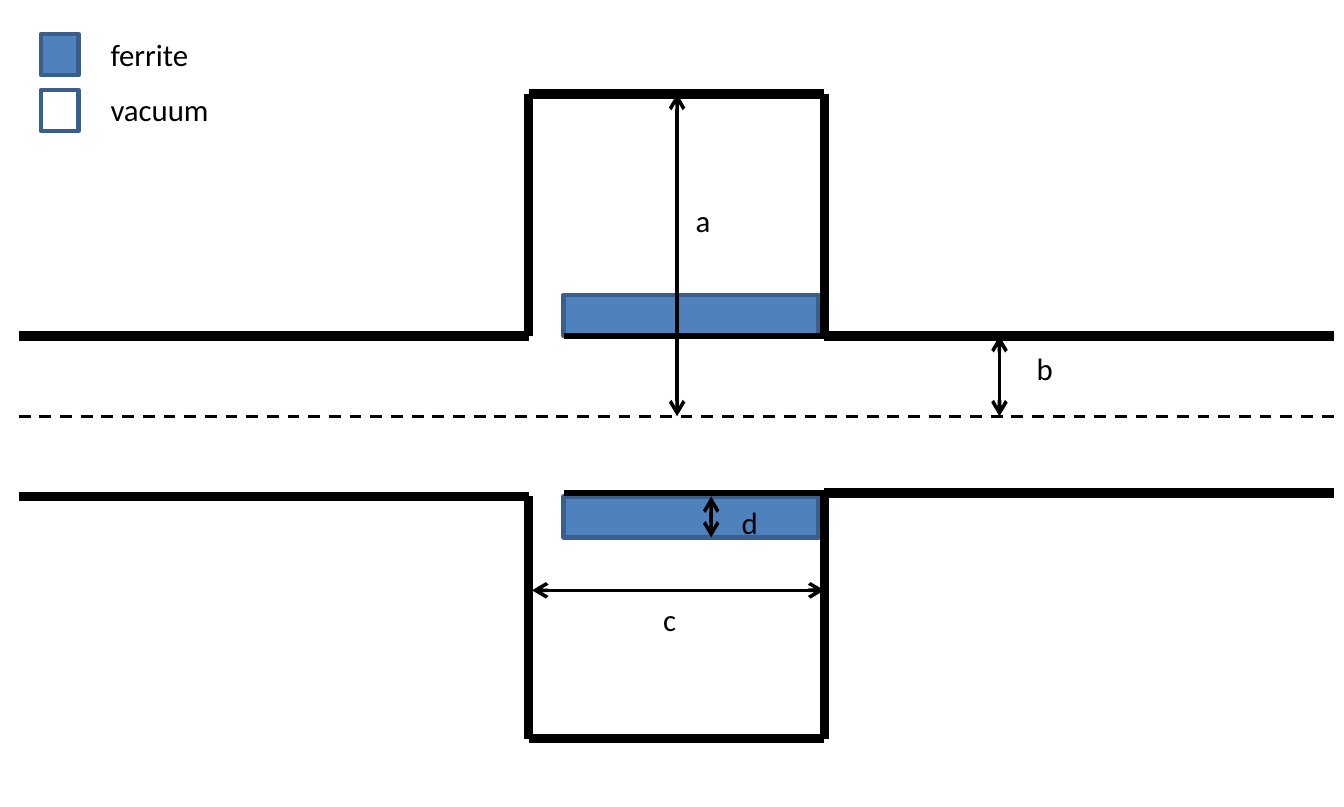
"""Draw the cross-section of a cavity with ferrite plates on a beam pipe."""
import pptx
import pptx.dml.color
import pptx.enum.dml
import pptx.enum.shapes
import pptx.enum.text
import pptx.oxml.ns
import pptx.util
from lxml import etree

BLACK, WHITE, FERRITE, OUTLINE = "000000", "FFFFFF", "4F81BD", "3A5F8C"
PIPE_LEFT, PIPE_RIGHT = 7.92, 563.04
CAVITY_LEFT, CAVITY_RIGHT = 223.2, 348
CAVITY_TOP, CAVITY_BOTTOM = 39.6, 311.76
PIPE_TOP, AXIS = 141.84, 175.68
PIPE_BOTTOM_LEFT, PIPE_BOTTOM_RIGHT = 209.52, 208.08
PLATE_LEFT, PLATE_WIDTH, PLATE_HEIGHT = 238, 107.64, 17.28
WALL, PLATE_EDGE, DIMENSION, CENTRE_LINE = 4, 2.75, 1.5, 1.25


def color(hex_string):
    return pptx.dml.color.RGBColor.from_string(hex_string)


def add_box(slide, left, top, width, height, fill):
    shape = slide.shapes.add_shape(
        pptx.enum.shapes.MSO_SHAPE.RECTANGLE,
        *map(pptx.util.Pt, (left, top, width, height)))
    shape.shadow.inherit = False
    shape.fill.solid()
    shape.fill.fore_color.rgb = color(fill)
    shape.line.color.rgb = color(OUTLINE)
    shape.line.width = pptx.util.Pt(2)


def add_line(slide, start, end, width, dashed=False, arrows=False):
    connector = slide.shapes.add_connector(
        pptx.enum.shapes.MSO_CONNECTOR.STRAIGHT,
        *map(pptx.util.Pt, (*start, *end)))
    connector.line.color.rgb = color(BLACK)
    connector.line.width = pptx.util.Pt(width)
    if dashed:
        connector.line.dash_style = pptx.enum.dml.MSO_LINE.DASH
    if arrows:
        outline = connector.line._get_or_add_ln()
        for tag in ("a:headEnd", "a:tailEnd"):
            etree.SubElement(outline, pptx.oxml.ns.qn(tag), type="arrow")
    properties = connector._element.spPr
    etree.SubElement(properties, pptx.oxml.ns.qn("a:effectLst"))


def add_text(slide, text, left, top, width, height=23.04, size=13,
             font="Calibri", fill=BLACK):
    shape = slide.shapes.add_textbox(
        *map(pptx.util.Pt, (left, top, width, height)))
    frame = shape.text_frame
    frame.word_wrap = False
    frame.auto_size = pptx.enum.text.MSO_AUTO_SIZE.SHAPE_TO_FIT_TEXT
    paragraph = frame.paragraphs[0]
    run = paragraph.add_run()
    run.text = text
    run.font.name = font
    run.font.size = pptx.util.Pt(size)
    run.font.color.rgb = color(fill)


def add_legend(slide):
    entries = (("ferrite", FERRITE, 47.52), ("vacuum", WHITE, 56.16))
    for index, (name, fill, width) in enumerate(entries):
        add_box(slide, 17.28, 14.4 + 23.6 * index, 15.84, PLATE_HEIGHT, fill)
        add_text(slide, name, 39.6, 11.52 + 23.04 * index, width)


def add_walls(slide):
    halves = (
        (CAVITY_TOP, PIPE_TOP, PIPE_TOP),
        (CAVITY_BOTTOM, PIPE_BOTTOM_LEFT, PIPE_BOTTOM_RIGHT),
    )
    for end, left_pipe, right_pipe in halves:
        walls = (
            ((PIPE_LEFT, left_pipe), (CAVITY_LEFT, left_pipe)),
            ((CAVITY_LEFT, left_pipe), (CAVITY_LEFT, end)),
            ((CAVITY_LEFT, end), (CAVITY_RIGHT, end)),
            ((CAVITY_RIGHT, end), (CAVITY_RIGHT, right_pipe)),
            ((CAVITY_RIGHT, right_pipe), (PIPE_RIGHT, right_pipe)),
        )
        for start, stop in walls:
            add_line(slide, start, stop, WALL)
        add_line(slide, (PLATE_LEFT, right_pipe),
                 (CAVITY_RIGHT, right_pipe), PLATE_EDGE)


def add_dimensions(slide):
    plate_bottom = PIPE_BOTTOM_LEFT + PLATE_HEIGHT
    dimensions = (
        ("a", (285.84, CAVITY_TOP), (285.84, AXIS), (286.56, 81.36, 23.04)),
        ("b", (421.92, PIPE_TOP), (421.92, AXIS), (430.56, 144, 24.48)),
        ("c", (CAVITY_RIGHT, 249.12), (224.64, 249.12),
         (272.88, 249.84, 20.16)),
        ("d", (300.24, PIPE_BOTTOM_LEFT), (300.24, plate_bottom),
         (306, 208.8, 21.6)),
    )
    for name, start, end, place in dimensions:
        add_line(slide, start, end, DIMENSION, arrows=True)
        add_text(slide, name, *place)


def main():
    presentation = pptx.Presentation()
    presentation.slide_width = pptx.util.Pt(567.36)
    presentation.slide_height = pptx.util.Pt(340.56)
    slide = presentation.slides.add_slide(presentation.slide_layouts[6])
    for top in (PIPE_TOP - PLATE_HEIGHT, PIPE_BOTTOM_LEFT):
        add_box(slide, PLATE_LEFT, top, PLATE_WIDTH, PLATE_HEIGHT, FERRITE)
    add_walls(slide)
    add_line(slide, (PIPE_LEFT, AXIS), (PIPE_RIGHT, AXIS), CENTRE_LINE,
             dashed=True)
    add_dimensions(slide)
    add_legend(slide)
    presentation.save("out.pptx")


if __name__ == "__main__":
    main()
